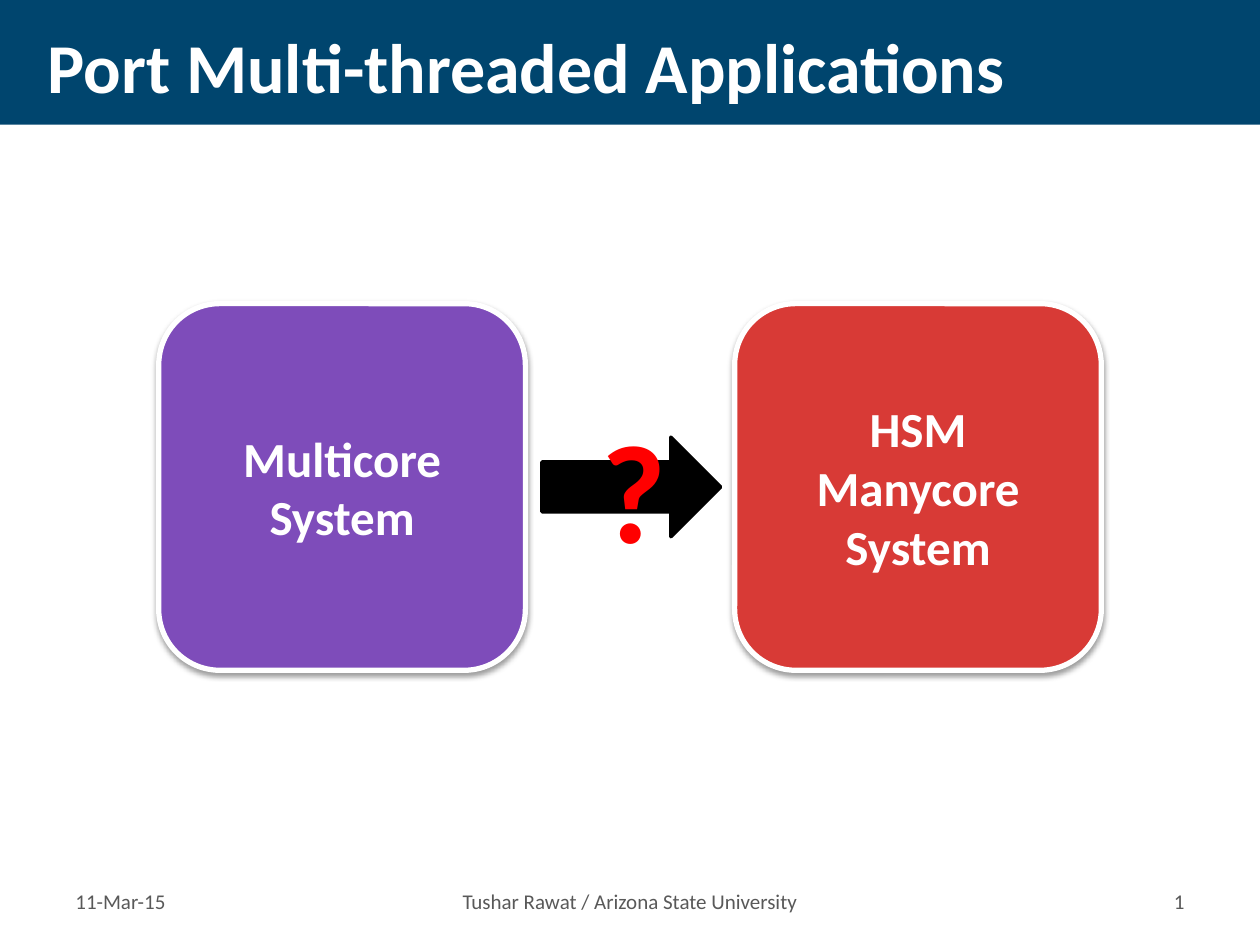
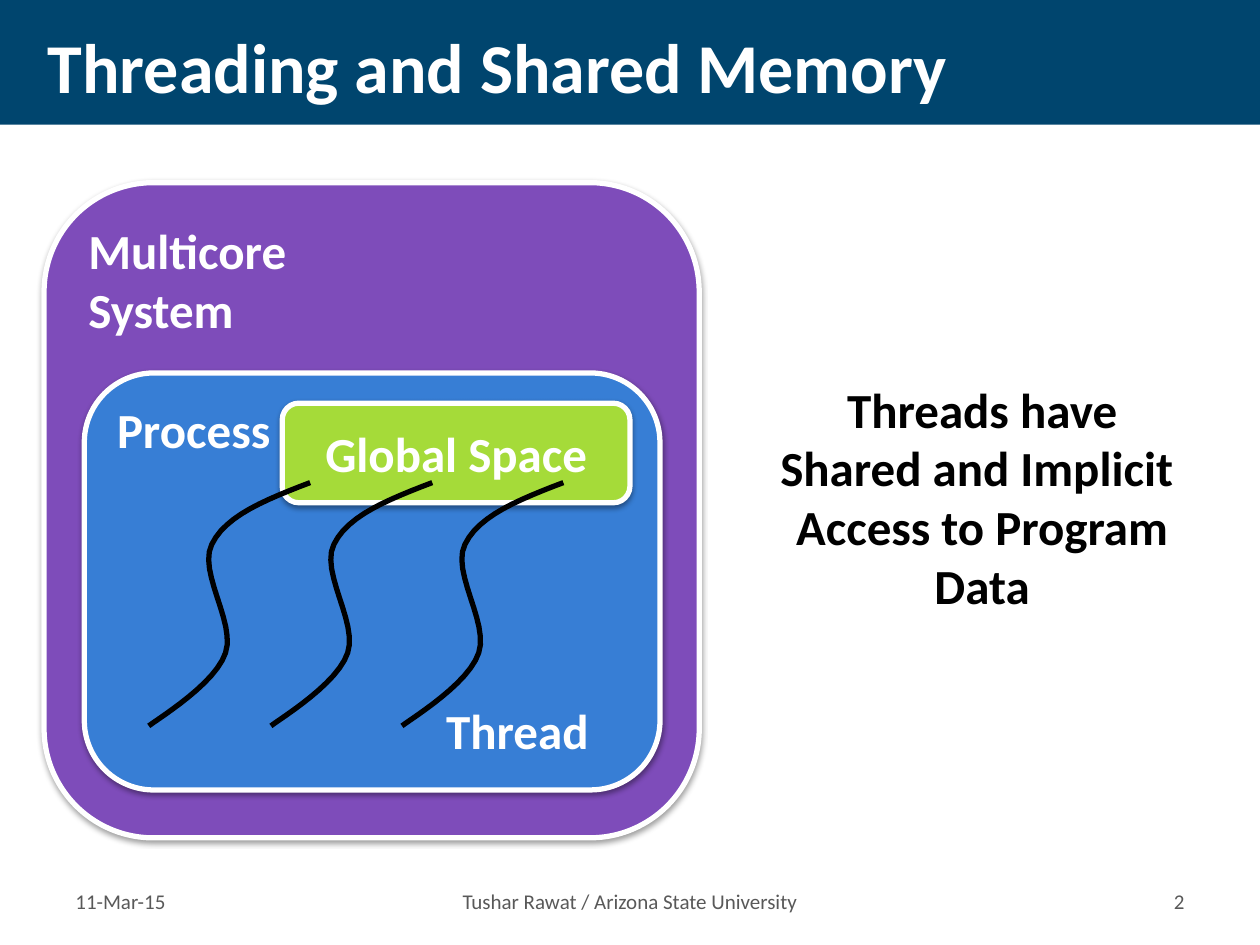
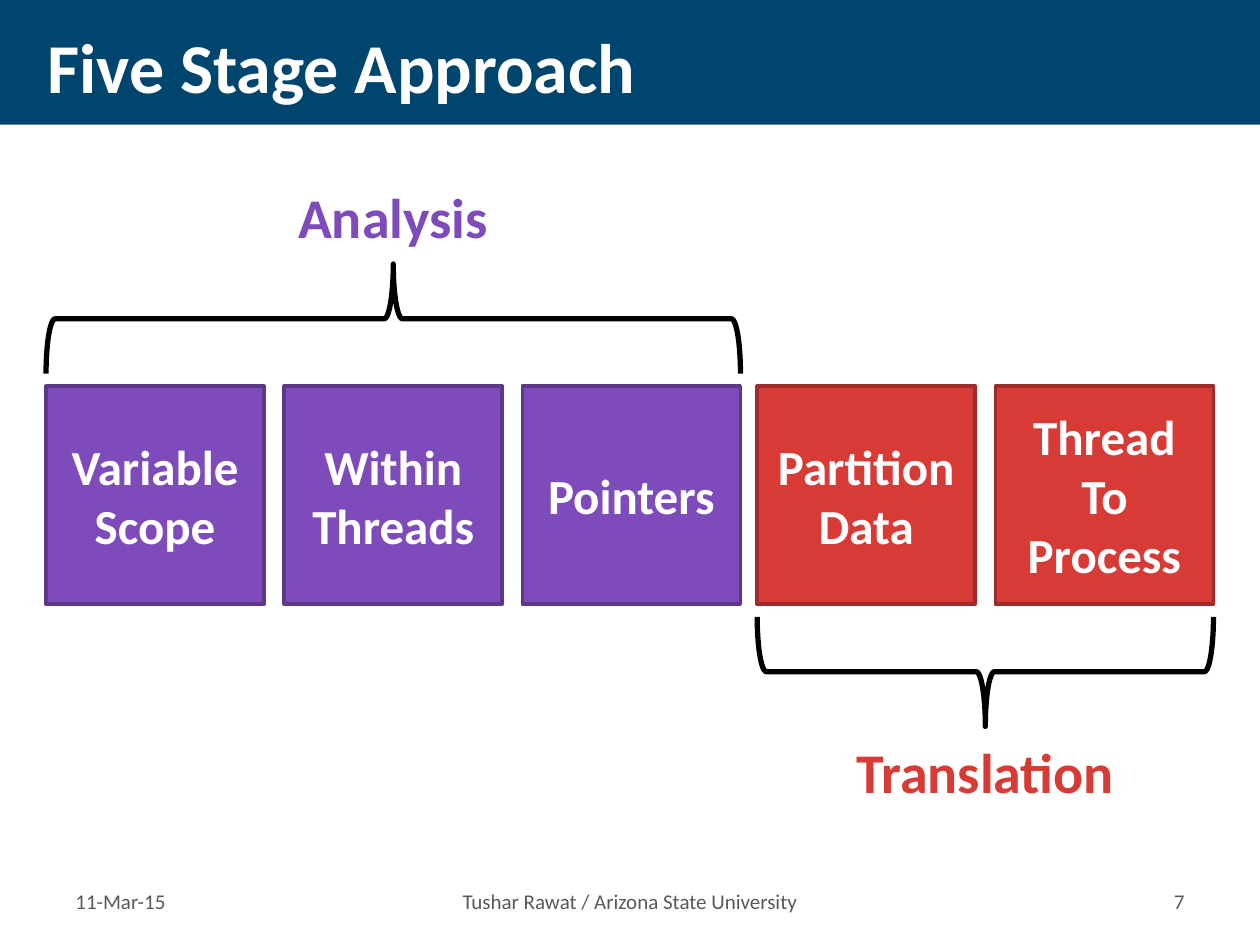
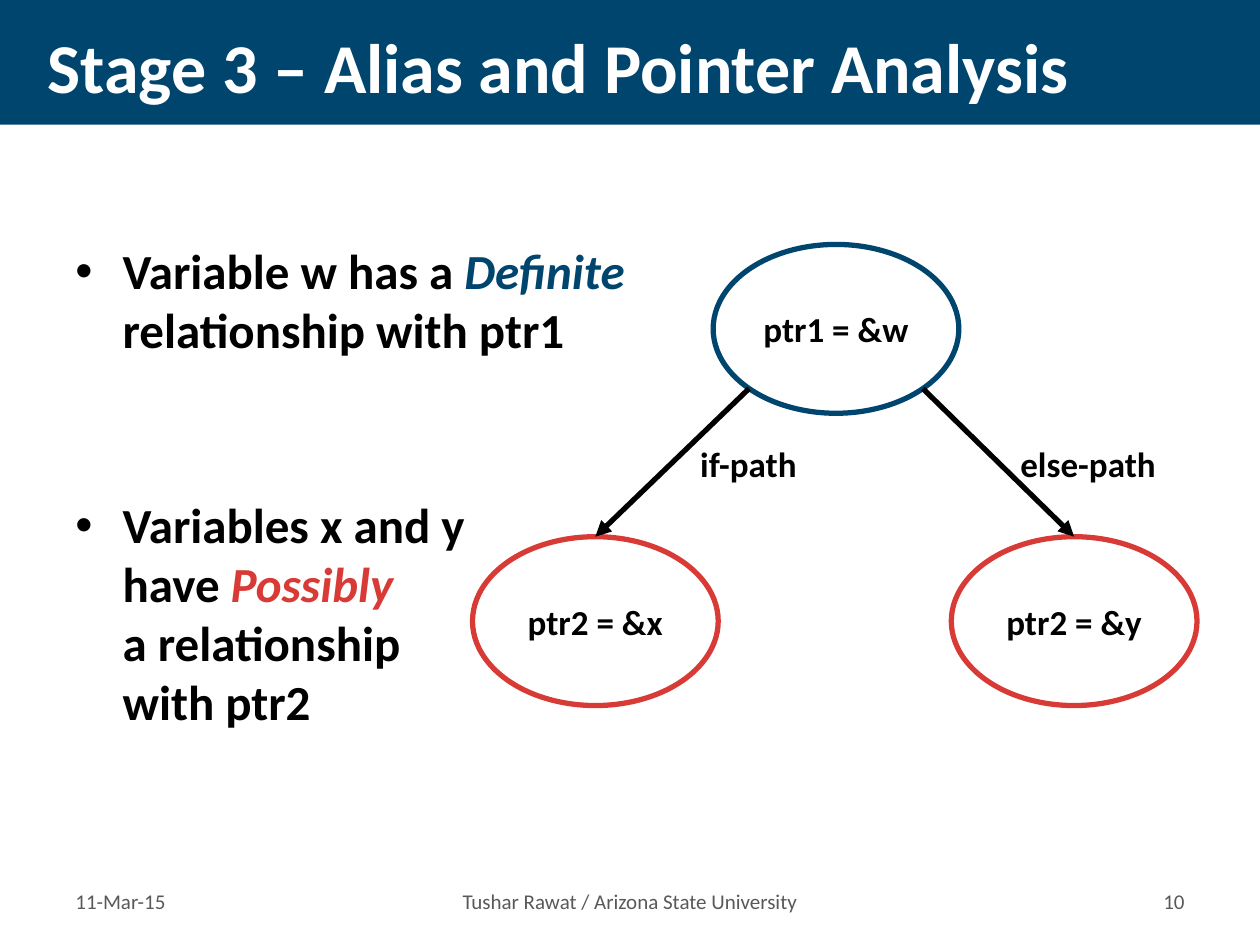
from lxml import etree
from pptx import Presentation, util as u
from pptx.dml import color as dml
from pptx.enum import shapes, text
from pptx.oxml import ns

Pt = u.Pt
Kind = shapes.MSO_SHAPE
Mid = text.MSO_ANCHOR.MIDDLE
Top = text.MSO_ANCHOR.TOP
Left, Mean, Right = text.PP_ALIGN.LEFT, text.PP_ALIGN.CENTER, text.PP_ALIGN.RIGHT

HUES = {
    "navy": "00456E", "white": "FFFFFF", "black": "000000", "gray": "595959",
    "violet": "7E4CBA", "plum": "5D388A", "red": "D83A36", "brick": "A02B28",
    "blue": "377ED5", "lime": "A5DB39", "alert": "FF0000",
}
WIDE, HIGH = 720, 540
DATE = "11-Mar-15"
OWNER = "Tushar Rawat / Arizona State University"
CURVE = [(92.2, 0), (67.7, 9.4), (43.9, 18.7), (36, 35.3), (28.1, 51.1),
         (49.7, 79.9), (43.9, 97.2), (38.2, 114.5), (7.9, 133.2), (0, 139)]


def hue(name):
    return dml.RGBColor.from_string(HUES[name])


def put(obj, vals):
    for key, val in vals.items():
        setattr(obj, key, val)


def child(node, tag, **vals):
    return etree.SubElement(node, ns.qn(tag), vals)


def style(font, size, ink, bold=True, italic=False):
    put(font, {"name": "Calibri", "size": Pt(size), "bold": bold, "italic": italic})
    font.color.rgb = hue(ink)


def write(shape, words, size=28, ink="white", bold=True, align=Mean, anchor=Mid, wrap=True):
    frame = shape.text_frame
    put(frame, {"word_wrap": wrap, "vertical_anchor": anchor, "text": words})
    for para in frame.paragraphs:
        para.alignment = align
        style(para.font, size, ink, bold)
    return shape


def note(slide, box, words, **form):
    return write(slide.shapes.add_textbox(*map(Pt, box)), words, **form)


def trace(shape, edge, width):
    shape.shadow.inherit = False
    shape.line.color.rgb = hue(edge)
    shape.line.width = Pt(width)


def draw(slide, kind, box, fill=None, edge=None, width=3):
    shape = slide.shapes.add_shape(kind, *map(Pt, box))
    if fill:
        shape.fill.solid()
        shape.fill.fore_color.rgb = hue(fill)
    else:
        shape.fill.background()
    if edge:
        trace(shape, edge, width)
    else:
        shape.shadow.inherit = False
        shape.line.fill.background()
    return shape


def panel(slide, box, fill, words, **form):
    shape = draw(slide, Kind.ROUNDED_RECTANGLE, box, fill, "white")
    effect = shape._element.spPr.find(ns.qn("a:effectLst"))
    shade = child(effect, "a:outerShdw", blurRad=str(Pt(3.1)), dist=str(Pt(1.6)),
                  dir="5400000", rotWithShape="0")
    child(child(shade, "a:srgbClr", val=HUES["black"]), "a:alpha", val="38000")
    return write(shape, words, **form)


def base(deck, title, page):
    slide = deck.slides.add_slide(deck.slide_layouts[6])
    draw(slide, Kind.RECTANGLE, (0, 0, WIDE, 71.3), "navy")
    note(slide, (20.2, 7.2, 680.4, 60.5), title, size=40, align=Left)
    edge, side, y, h = 36, 85.7, 500.4, 28.8
    foot = [(edge, side, DATE, Left),
            (133.2, WIDE - 2 * 133.2, OWNER, Mean),
            (WIDE - edge - side, side, str(page), Right)]
    for x, w, words, align in foot:
        note(slide, (x, y, w, h), words, size=12, ink="gray", bold=False, align=align)
    return slide


def port(slide, box):
    x, y, w, h = box
    panel(slide, (x, y, h, h), "violet", "Multicore\nSystem")
    panel(slide, (x + w - h, y, h, h), "red", "HSM\nManycore\nSystem")
    draw(slide, Kind.RIGHT_ARROW, (x + 218.9, y + 76.3, 102.2, 56.9), "black", "black", 2)
    note(slide, (x + 218.9, y + 11.5, 105.1, 187.2), "?", size=80, ink="alert")


def bend(spots, steps=12):
    for at in range(0, len(spots) - 1, 3):
        a, b, c, d = spots[at:at + 4]
        for step in range(1, steps + 1):
            t = step / steps
            s = 1 - t
            yield tuple(s**3 * i + 3 * s * s * t * j + 3 * s * t * t * k + t**3 * m
                        for i, j, k, m in zip(a, b, c, d))


def thread(slide, x, y):
    spots = [(Pt(x + dx), Pt(y + dy)) for dx, dy in CURVE]
    path = slide.shapes.build_freeform(*spots[0])
    path.add_line_segments(list(bend(spots)), close=False)
    shape = path.convert_to_shape()
    shape.fill.background()
    trace(shape, "black", 3)


def memory(slide, box):
    x, y = box[:2]
    panel(slide, box, "violet", "Multicore\nSystem", align=Left, anchor=Top)
    panel(slide, (x + 23, y + 108.7, 329, 238.3), "blue", "Process", align=Left, anchor=Top)
    panel(slide, (x + 136.1, y + 126, 198.7, 56.9), "lime", "Global Space")
    for shift in (0, 69.8, 144.7):
        thread(slide, x + 59.8 + shift, y + 171.4)
    note(slide, (x + 221.8, y + 292.3, 97.2, 41), "Thread", anchor=Top, wrap=False)


def phase(slide, box, name, fill, edge, tiles, above):
    x, y, w, h = box
    step = (w - h) / (len(tiles) - 1)
    for i, words in enumerate(tiles):
        draw_box = (x + i * step, y, h, h)
        write(draw(slide, Kind.RECTANGLE, draw_box, fill, edge, 2), words)
    deep, gap, tall = 62.6, 7.2, 46.1
    if above:
        top, label, turn = y - gap - deep, y - gap - deep - 4 - tall, 90
    else:
        top, label, turn = y + h + gap, y + h + gap + deep + 3, 270
    note(slide, (x, label, w, tall), name, size=32, ink=fill, anchor=Top)
    spot = (x + (w - deep) / 2, top + (deep - w) / 2, deep, w)
    draw(slide, Kind.LEFT_BRACE, spot, None, "black").rotation = turn


def points(slide, box, items):
    frame = slide.shapes.add_textbox(*map(Pt, box)).text_frame
    frame.word_wrap = True
    for i, item in enumerate(items):
        para = frame.add_paragraph() if i else frame.paragraphs[0]
        props = para._p.get_or_add_pPr()
        props.set("marL", str(Pt(27)))
        props.set("indent", str(-Pt(27)))
        if i:
            para.space_before = Pt(78)
        child(props, "a:buFont", typeface="Arial")
        child(props, "a:buChar", char="•")
        style(para.font, 28, "black")
        for words, ink in item:
            for j, line in enumerate(words.split("\n")):
                if j:
                    para.add_line_break()
                if line:
                    run = para.add_run()
                    run.text = line
                    style(run.font, 28, ink, italic=ink != "black")


def arrow(slide, x, y, to_x, to_y):
    line = slide.shapes.add_connector(shapes.MSO_CONNECTOR.STRAIGHT,
                                      *map(Pt, (x, y, to_x, to_y)))
    line.line.color.rgb = hue("black")
    line.line.width = Pt(3)
    child(line.line._get_or_add_ln(), "a:tailEnd", type="triangle")
    child(line._element.spPr, "a:effectLst")


def tree(slide, box):
    x, y, w, h = box
    wide, tall = 140.4, 96.5
    root, low = x + 137.5, y + h - tall
    nodes = [(root, y, "navy", "ptr1 = &w"),
             (x, low, "red", "ptr2 = &x"),
             (x + w - wide, low, "red", "ptr2 = &y")]
    for left, top, edge, words in nodes:
        oval = draw(slide, Kind.OVAL, (left, top, wide, tall), None, edge)
        write(oval, words, size=20, ink="black")
    inset = 0.146
    for part, (left, *_) in zip((inset, 1 - inset), nodes[1:]):
        arrow(slide, root + part * wide, y + (1 - inset) * tall, left + wide / 2, low)
    for shift, span, words in ((122.4, 70.6, "if-path"), (305.3, 92.9, "else-path")):
        note(slide, (x + shift, y + 109.4, span, 31.7), words,
             size=20, ink="black", anchor=Top, wrap=False)


def main():
    deck = Presentation()
    put(deck, {"slide_width": Pt(WIDE), "slide_height": Pt(HIGH)})

    slide = base(deck, "Port Multi-threaded Applications", 1)
    port(slide, (90.7, 173.5, 538.6, 209.5))

    slide = base(deck, "Threading and Shared Memory", 2)
    memory(slide, (25.2, 104.4, 374.4, 374.4))
    note(slide, (437, 213.1, 248.4, 143.3),
         "Threads have\nShared and Implicit \nAccess to Program\nData",
         ink="black", anchor=Top, wrap=False)

    slide = base(deck, "Five Stage Approach", 7)
    phase(slide, (26.3, 220.7, 396.8, 124.6), "Analysis", "violet", "plum",
          ["Variable\nScope", "Within\nThreads", "Pointers"], True)
    phase(slide, (432.7, 220.7, 260.7, 124.6), "Translation", "red", "brick",
          ["Partition\nData", "Thread\nTo\nProcess"], False)

    slide = base(deck, "Stage 3 – Alias and Pointer Analysis", 10)
    points(slide, (36, 134, 648, 290), [
        [("Variable w has a ", "black"), ("Definite", "navy"),
         ("\nrelationship with ptr1", "black")],
        [("Variables x and y\nhave ", "black"), ("Possibly", "red"),
         ("\na relationship\nwith ptr2", "black")],
    ])
    tree(slide, (270, 139.7, 414, 263.5))

    deck.save("out.pptx")


if __name__ == "__main__":
    main()
